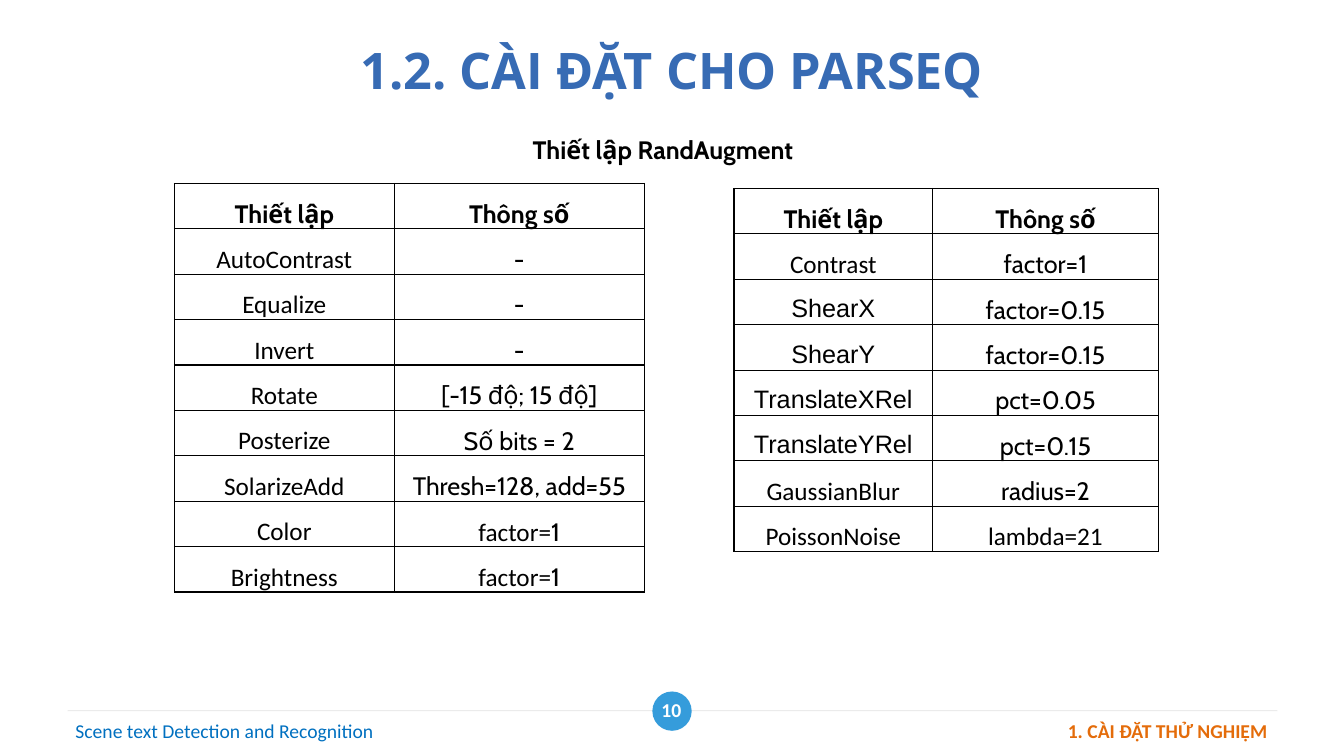
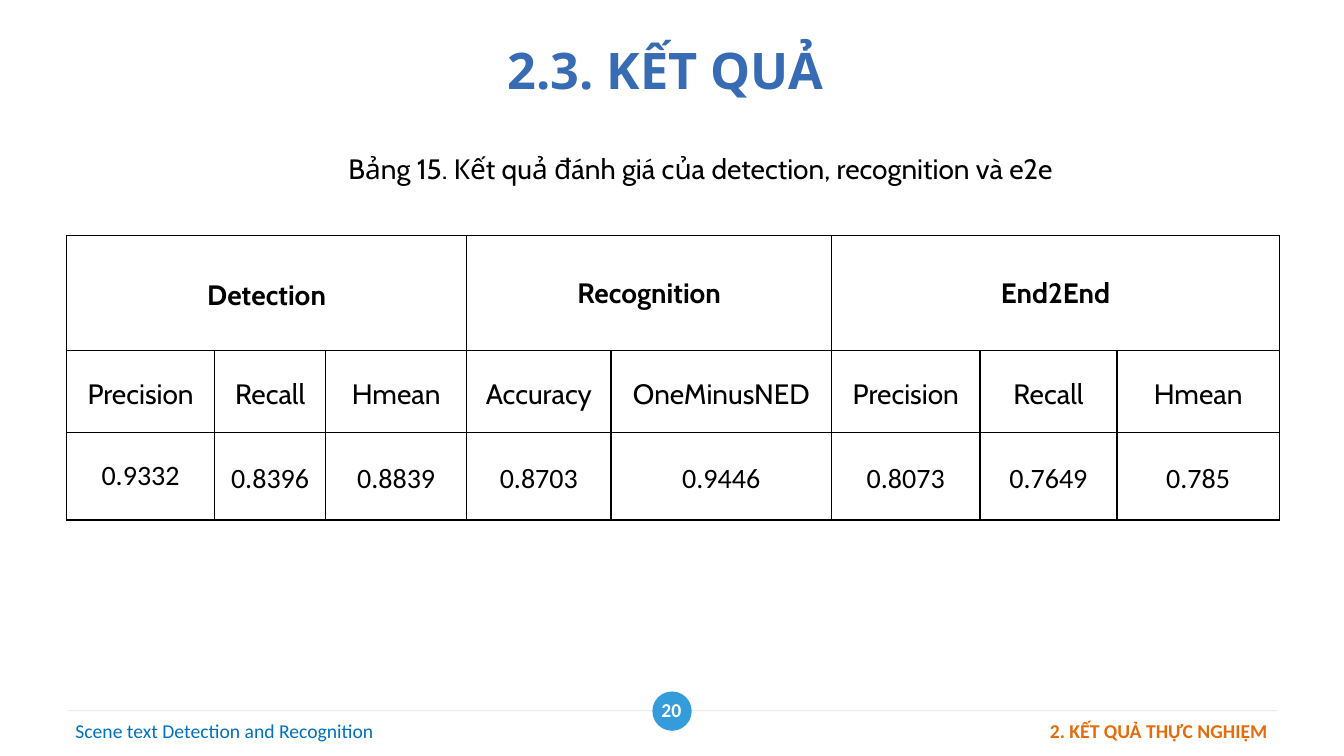
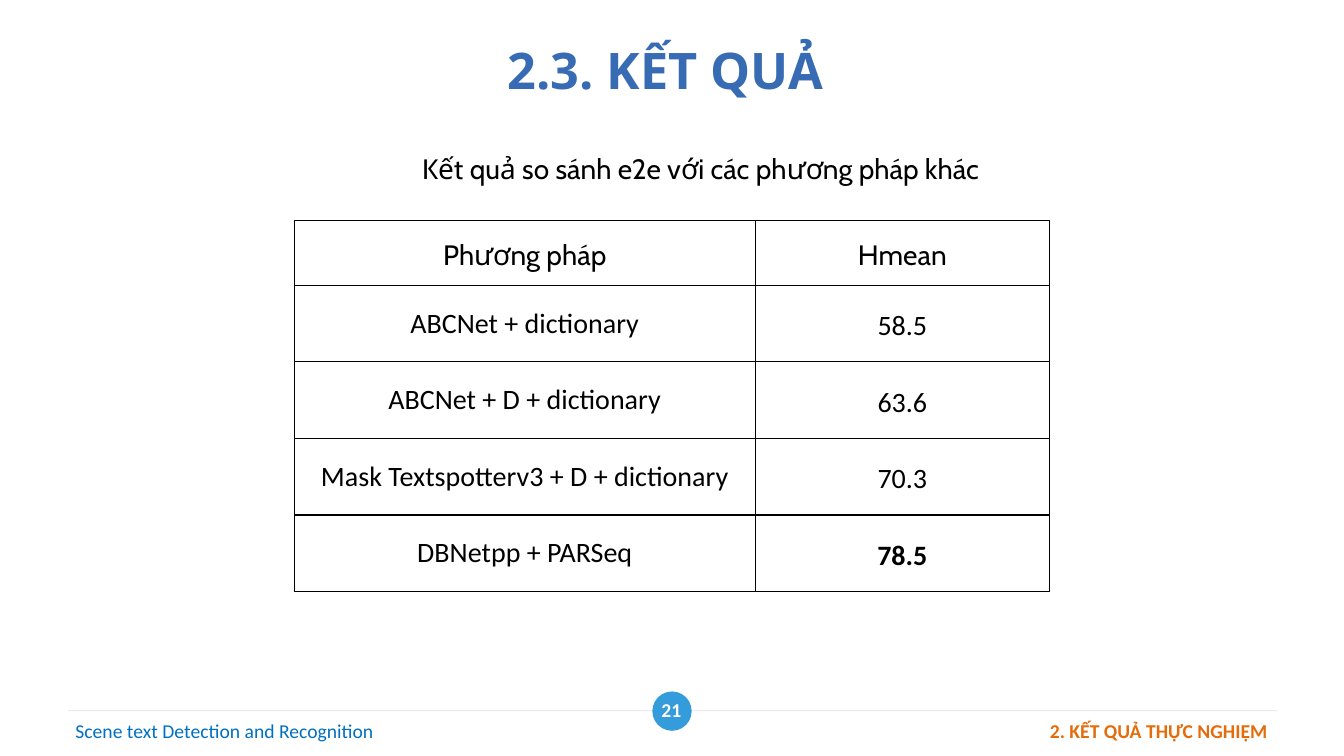
from pptx import Presentation
from pptx.dml.color import RGBColor as RGB
from pptx.enum.shapes import MSO_CONNECTOR as LINK, MSO_SHAPE as SHAPE
from pptx.enum.text import MSO_ANCHOR as ANCHOR, MSO_AUTO_SIZE as FIT, PP_ALIGN as ALIGN
from pptx.oxml import parse_xml
from pptx.oxml.ns import nsdecls, qn
from pptx.util import Inches, Pt
from lxml.etree import SubElement

HEX = {
    "title": "376BB4",
    "topic": "0070C0",
    "part": "E46C0A",
    "badge": "359CDB",
    "rule": "D9D9D9",
    "ink": "000000",
    "white": "FFFFFF",
}
HEAD, CABIN, PLAIN, ARIAL = "Open Sans", "Cabin", "Calibri", "Arial"
MID = 6.665


def tint(name):
    return RGB.from_string(HEX[name])


def add_run(para, text, font, size, color="ink", bold=False):
    run = para.add_run()
    run.text = text
    run.font.name = font
    run.font.size = Pt(size)
    run.font.bold = bold
    run.font.color.rgb = tint(color)


def pad(item, side, top):
    item.margin_left = item.margin_right = Inches(side)
    item.margin_top = item.margin_bottom = Inches(top)


def label(slide, box, text, font, size, color="ink", bold=False, align=ALIGN.CENTER):
    frame = slide.shapes.add_textbox(*map(Inches, box)).text_frame
    frame.word_wrap = True
    frame.auto_size = FIT.SHAPE_TO_FIT_TEXT
    para = frame.paragraphs[0]
    para.alignment = align
    add_run(para, text, font, size, color, bold)
    return frame


def add_title(slide, text, width):
    shape = slide.shapes.title
    shape.left, shape.top = Inches(MID - width / 2), Inches(0.3)
    shape.width, shape.height = Inches(width), Inches(0.78)
    frame = shape.text_frame
    frame.vertical_anchor = ANCHOR.MIDDLE
    pad(frame, 0.13, 0.07)
    para = frame.paragraphs[0]
    para.alignment = ALIGN.CENTER
    add_run(para, text, HEAD, 36, "title", True)


def add_rule(slide):
    rule = slide.shapes.add_connector(
        LINK.STRAIGHT, Inches(0.67), Inches(7.05), Inches(12.67), Inches(7.05))
    rule.line.width = Pt(0.75)
    rule.line.color.rgb = tint("rule")
    props = rule.element.spPr
    color = props.find(".//" + qn("a:srgbClr"))
    SubElement(color, qn("a:alpha"), val="50000")
    SubElement(props, qn("a:effectLst"))


def add_badge(slide, number):
    dot = slide.shapes.add_shape(
        SHAPE.OVAL, Inches(6.47), Inches(6.86), Inches(0.39), Inches(0.39))
    dot.shadow.inherit = False
    dot.fill.solid()
    dot.fill.fore_color.rgb = tint("badge")
    dot.line.fill.background()
    frame = label(slide, (6.38, 6.83, 0.56, 0.42), str(number), PLAIN, 14, "white", True)
    frame.auto_size = FIT.NONE
    frame.vertical_anchor = ANCHOR.MIDDLE
    pad(frame, 0.13, 0.07)


def add_page(deck, title, width, number, part):
    slide = deck.slides.add_slide(deck.slide_layouts[5])
    add_rule(slide)
    add_badge(slide, number)
    label(slide, (6.95, 7.08, 5.72, 0.34), part, PLAIN, 14, "part", True, ALIGN.RIGHT)
    label(slide, (0.65, 7.08, 5.93, 0.34), "Scene text Detection and Recognition",
          PLAIN, 14, "topic", align=ALIGN.LEFT)
    add_title(slide, title, width)
    return slide


def add_edges(cell):
    props = cell._tc.get_or_add_tcPr()
    for side in "LRTB":
        props.append(parse_xml(
            f'<a:ln{side} {nsdecls("a")} w="12700"><a:solidFill>'
            f'<a:srgbClr val="{HEX["ink"]}"/></a:solidFill></a:ln{side}>'))


def text(words, font=CABIN, bold=False, gap=None):
    return [(words, font, bold)], gap


def add_grid(slide, left, top, cols, highs, rows, size, gap, spans=()):
    shape = slide.shapes.add_table(
        len(rows), len(cols), Inches(left), Inches(top),
        Inches(sum(cols)), Inches(sum(highs)))
    grid = shape.table
    grid.first_row = grid.horz_banding = False
    for col, width in zip(grid.columns, cols):
        col.width = Inches(width)
    for row, high in zip(grid.rows, highs):
        row.height = Inches(high)
    for y, row in enumerate(rows):
        for x, item in enumerate(row):
            cell = grid.cell(y, x)
            add_edges(cell)
            cell.fill.background()
            cell.vertical_anchor = ANCHOR.MIDDLE
            pad(cell, 0.07, 0)
            if item:
                runs, own = item
                para = cell.text_frame.paragraphs[0]
                para.alignment = ALIGN.CENTER
                para.line_spacing = own or gap
                for words, font, bold in runs:
                    add_run(para, words, font, size, bold=bold)
    for first, last in spans:
        grid.cell(0, first).merge(grid.cell(0, last))


def add_setup(slide, left, top, cols, pairs):
    rows = [[text(words, bold=True) for words in ("Thiết lập", "Thông số")]]
    rows += [[name, value] for name, value in pairs]
    add_grid(slide, left, top, cols, [0.45] * len(rows), rows, 18, 1.5)


def setup_page(deck):
    slide = add_page(deck, "1.2. CÀI ĐẶT CHO PARSEQ", 10.93, 10, "1. CÀI ĐẶT THỬ NGHIỆM")
    unit = [("factor=", PLAIN, False), ("1", CABIN, False)], None
    none = text("-")
    add_setup(slide, 1.73, 1.82, (2.18, 2.48), [
        (text("AutoContrast", PLAIN), none),
        (text("Equalize", PLAIN), none),
        (text("Invert", PLAIN), none),
        (text("Rotate", PLAIN), text("[-15 độ; 15 độ]")),
        (text("Posterize", PLAIN), text("Số bits = 2")),
        (text("SolarizeAdd", PLAIN), text("Thresh=128, add=55")),
        (text("Color", PLAIN), unit),
        (text("Brightness", PLAIN), unit),
    ])
    add_setup(slide, 7.28, 1.87, (1.97, 2.24), [
        (text("Contrast", PLAIN), text("factor=1")),
        (text("ShearX", ARIAL), text("factor=0.15")),
        (text("ShearY", ARIAL), text("factor=0.15")),
        (text("TranslateXRel", ARIAL), text("pct=0.05")),
        (text("TranslateYRel", ARIAL), text("pct=0.15")),
        (text("GaussianBlur", PLAIN), text("radius=2")),
        (text("PoissonNoise", PLAIN), text("lambda=21", PLAIN)),
    ])
    label(slide, (4.21, 1.28, 4.73, 0.4), "Thiết lập RandAugment", CABIN, 18, bold=True)


def result_page(deck, number, caption):
    slide = add_page(deck, "2.3. KẾT QUẢ ", 9.87, number, "2. KẾT QUẢ THỰC NGHIỆM")
    label(slide, (2.85, 1.45, 8.2, 0.44), caption, CABIN, 20)
    return slide


def score_page(deck):
    slide = result_page(
        deck, 20, "Bảng 15. Kết quả đánh giá của detection, recognition và e2e")
    names = ("Precision", "Recall", "Hmean", "Accuracy", "OneMinusNED",
             "Precision", "Recall", "Hmean")
    scores = ("0.8396", "0.8839", "0.8703", "0.9446", "0.8073", "0.7649", "0.785")
    rows = [
        [text("Detection", bold=True), None, None,
         text("Recognition", bold=True, gap=1.0), None,
         text("End2End", bold=True, gap=1.0), None, None],
        [text(name) for name in names],
        [text("0.9332", PLAIN, gap=1.0)] + [text(score, PLAIN) for score in scores],
    ]
    add_grid(slide, 0.66, 2.34, (1.47, 1.1, 1.4, 1.43, 2.19, 1.47, 1.36, 1.61),
             (1.14, 0.81, 0.87), rows, 20, 1.15, ((0, 2), (3, 4), (5, 7)))


def rival_page(deck):
    slide = result_page(deck, 21, "Kết quả so sánh e2e với các phương pháp khác")
    rivals = (
        ("ABCNet + dictionary", "58.5"),
        ("ABCNet + D + dictionary", "63.6"),
        ("Mask Textspotterv3 + D + dictionary", "70.3"),
        ("DBNetpp + PARSeq", "78.5"),
    )
    best = max(score for name, score in rivals)
    rows = [[text("Phương pháp"), text("Hmean")]]
    rows += [[text(name, PLAIN, gap=1.0), text(score, PLAIN, score == best)]
             for name, score in rivals]
    add_grid(slide, 2.92, 2.19, (4.57, 2.92), [0.64] + [0.76] * len(rivals),
             rows, 20, 1.15)


def main():
    deck = Presentation()
    deck.slide_width, deck.slide_height = Inches(13.33), Inches(7.5)
    setup_page(deck)
    score_page(deck)
    rival_page(deck)
    deck.save("out.pptx")


if __name__ == "__main__":
    main()
